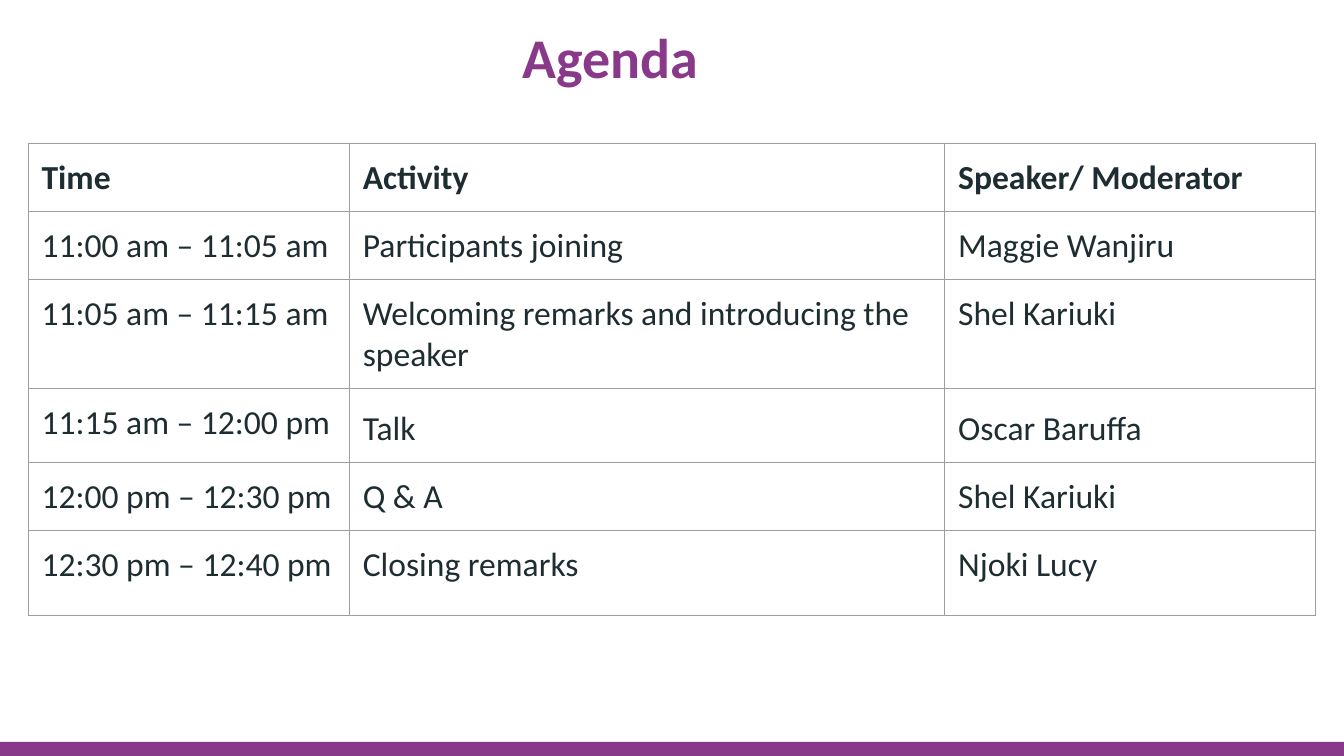
from lxml.etree import SubElement
from pptx import Presentation
from pptx.dml.color import RGBColor
from pptx.enum.shapes import MSO_SHAPE
from pptx.enum.text import MSO_ANCHOR, PP_ALIGN
from pptx.oxml.ns import qn
from pptx.util import Inches, Pt

COLORS = {"purple": "88398A", "text": "1E2D31", "border": "9E9E9E"}
FONT = "Calibri"
MARGIN = Inches(0.1)
SLIDE_WIDTH = 10
SLIDE_HEIGHT = SLIDE_WIDTH * 9 / 16
COLUMN_WIDTHS = [2.39, 4.43, 2.76]
ROW_HEIGHTS = [0.43, 0.48, 0.63, 0.48, 0.48, 0.63]
AGENDA = [
    ("Time", "Activity", "Speaker/ Moderator"),
    ("11:00 am – 11:05 am", "Participants joining", "Maggie Wanjiru"),
    ("11:05 am – 11:15 am", "Welcoming remarks and introducing the speaker", "Shel Kariuki"),
    ("11:15 am – 12:00 pm", "Talk", "Oscar Baruffa"),
    ("12:00 pm – 12:30 pm", "Q & A", "Shel Kariuki"),
    ("12:30 pm – 12:40 pm", "Closing remarks", "Njoki Lucy"),
]
LOOSE_CELLS = {"Talk", "Oscar Baruffa"}  # set with wider line spacing


def style_font(font, size, color, bold):
    font.name = FONT
    font.size = Pt(size)
    font.bold = bold
    font.color.rgb = RGBColor.from_string(COLORS[color])


def set_margins(target):
    target.margin_left = target.margin_right = MARGIN
    target.margin_top = target.margin_bottom = MARGIN


def add_borders(cell):
    properties = cell._tc.get_or_add_tcPr()
    for side in ("a:lnL", "a:lnR", "a:lnT", "a:lnB"):
        line = SubElement(properties, qn(side), w=str(Pt(0.75)))
        fill = SubElement(line, qn("a:solidFill"))
        SubElement(fill, qn("a:srgbClr"), val=COLORS["border"])


def add_footer_bar(slide, left, top, width, height):
    bar = slide.shapes.add_shape(
        MSO_SHAPE.RECTANGLE, Inches(left), Inches(top), Inches(width), Inches(height))
    bar.shadow.inherit = False
    bar.fill.solid()
    bar.fill.fore_color.rgb = RGBColor.from_string(COLORS["purple"])
    bar.line.fill.background()


def add_agenda_table(slide, left, top):
    frame = slide.shapes.add_table(
        len(ROW_HEIGHTS), len(COLUMN_WIDTHS), Inches(left), Inches(top),
        Inches(sum(COLUMN_WIDTHS)), Inches(sum(ROW_HEIGHTS)))
    table = frame.table
    table.first_row = table.horz_banding = False
    for column, width in zip(table.columns, COLUMN_WIDTHS):
        column.width = Inches(width)
    for row, height in zip(table.rows, ROW_HEIGHTS):
        row.height = Inches(height)

    for row_index, texts in enumerate(AGENDA):
        for column_index, text in enumerate(texts):
            cell = table.cell(row_index, column_index)
            cell.text = text
            set_margins(cell)
            add_borders(cell)
            cell.fill.background()
            paragraph = cell.text_frame.paragraphs[0]
            style_font(paragraph.font, 18, "text", row_index == 0)
            if text in LOOSE_CELLS:
                paragraph.line_spacing = 1.15


def place_title(slide, left, top, width, height):
    title = slide.shapes.title
    title.left, title.top = Inches(left), Inches(top)
    title.width, title.height = Inches(width), Inches(height)
    title.text = "Agenda"
    text_frame = title.text_frame
    text_frame.vertical_anchor = MSO_ANCHOR.MIDDLE
    set_margins(text_frame)
    paragraph = text_frame.paragraphs[0]
    paragraph.alignment = PP_ALIGN.CENTER
    style_font(paragraph.font, 30, "purple", True)


def main():
    presentation = Presentation()
    presentation.slide_width = Inches(SLIDE_WIDTH)
    presentation.slide_height = Inches(SLIDE_HEIGHT)
    slide = presentation.slides.add_slide(presentation.slide_layouts.get_by_name("Title Only"))

    add_footer_bar(slide, 0, 5.52, SLIDE_WIDTH, 0.11)
    add_agenda_table(slide, 0.21, 1.07)
    place_title(slide, 1.12, 0.16, 6.84, 0.51)
    presentation.save("out.pptx")


if __name__ == "__main__":
    main()
